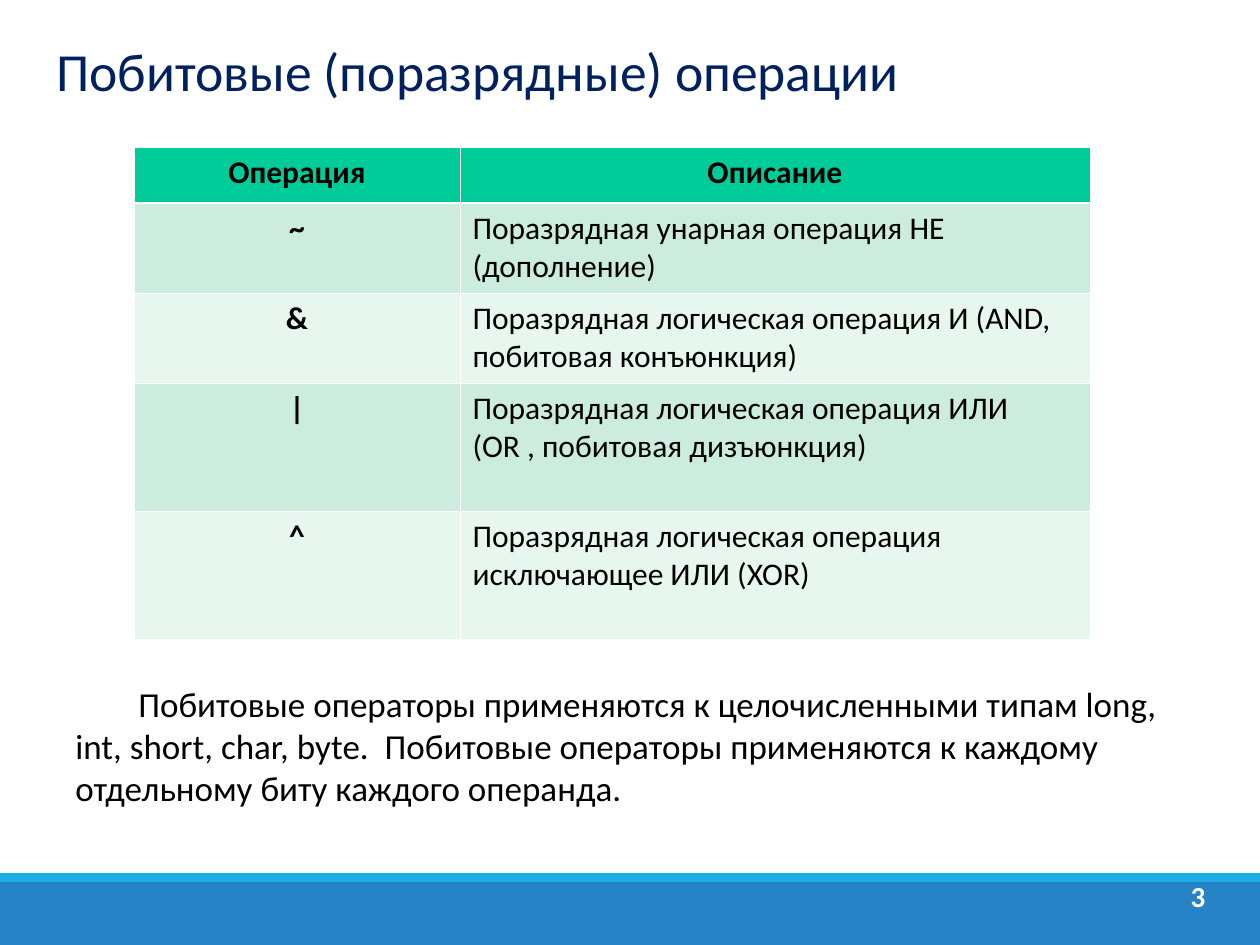
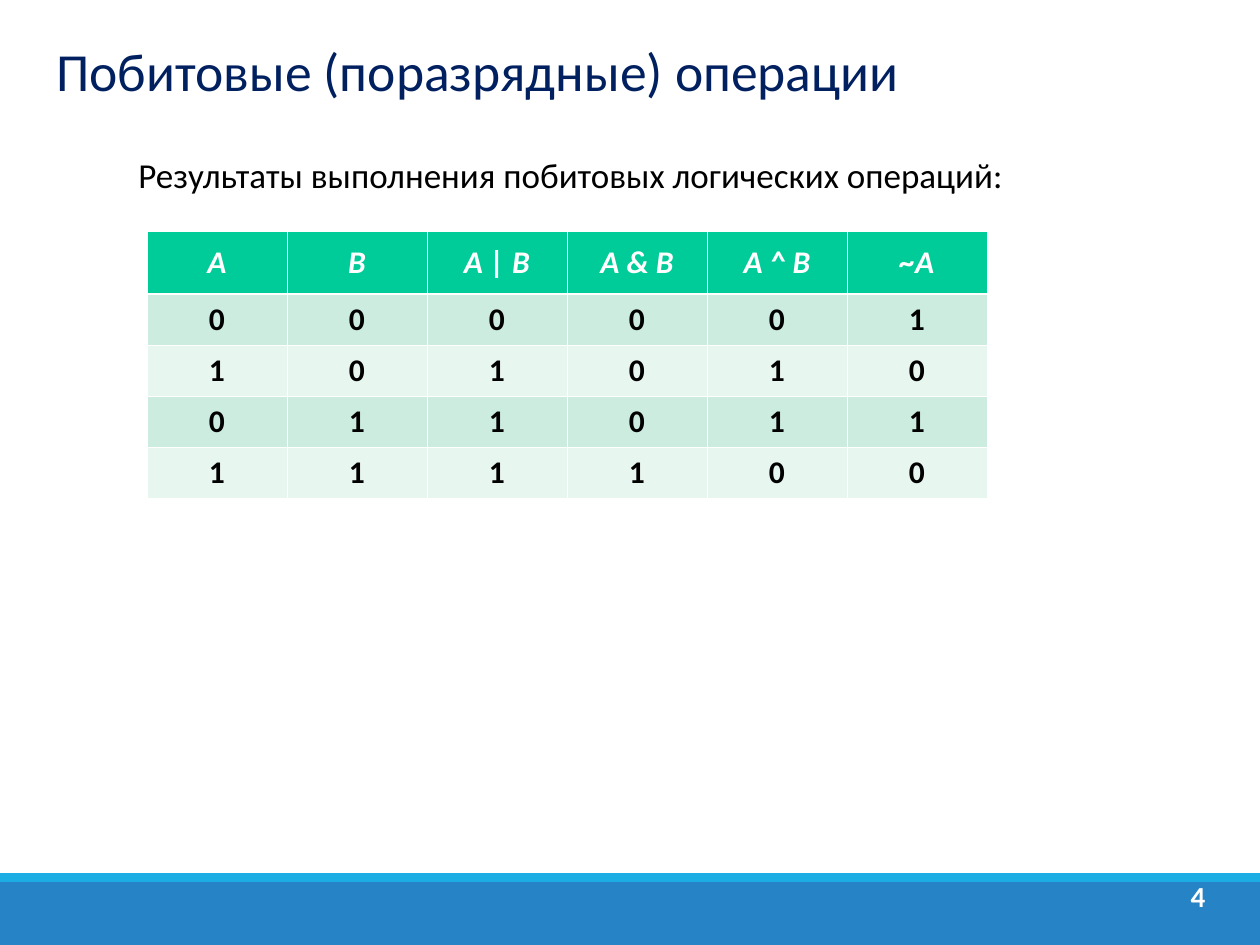
"""Build two slides on bitwise operations with a shared title, footer and table style."""
from dataclasses import dataclass, field

from lxml.etree import SubElement
from pptx import Presentation
from pptx.dml.color import RGBColor
from pptx.enum.shapes import MSO_SHAPE as Preset
from pptx.enum.text import MSO_ANCHOR as Anchor, PP_ALIGN as Align
from pptx.oxml.ns import qn
from pptx.slide import Slide
from pptx.table import _Cell as Cell
from pptx.text.text import TextFrame
from pptx.util import Emu, Pt

EMU_PER_PX = 914400 / 126
SLIDE_SIZE = (1260, 945)
HEADING = "Побитовые (поразрядные) операции"
FONT = "Calibri"
WHITE, BLACK, NAVY = "FFFFFF", "000000", "002060"
HEADER_GREEN = "00CC99"
ROW_GREENS = ("CBECDE", "E7F6EF")
THIN, THICK = 0.45, 1.47


@dataclass(frozen=True)
class Box:
    left: int
    top: int
    width: int
    height: int

    def emu(self) -> list[Emu]:
        return [px(n) for n in (self.left, self.top, self.width, self.height)]


@dataclass(frozen=True)
class Style:
    size: float
    color: str = BLACK
    bold: bool = False
    italic: bool = False
    align: Align = Align.LEFT
    spacing: float = 1.0
    indent: int = 0


@dataclass(frozen=True)
class Band:
    box: Box
    color: str


@dataclass(frozen=True)
class Grid:
    left: int
    top: int
    columns: list[int]
    heights: list[int]
    rows: list[list[str]]
    header: Style
    styles: list[Style]
    anchor: Anchor = Anchor.TOP


@dataclass(frozen=True)
class Page:
    number: int
    body: str
    body_box: Box
    grid: Grid


BANDS = [
    Band(Box(0, 882, 1260, 63), "2683C6"),
    Band(Box(0, 873, 1260, 9), "1CADE4"),
]
HEADING_BOX = Box(44, 35, 1134, 79)
NUMBER_BOX = Box(1168, 876, 60, 50)
HEADING_STYLE = Style(30.6, NAVY, spacing=0.9)
NUMBER_STYLE = Style(16.6, WHITE, bold=True, align=Align.CENTER, spacing=0.9)
BODY_STYLE = Style(20, indent=63)
CELL_STYLE = Style(18)
CENTERED_CELL = Style(18, bold=True, align=Align.CENTER)
VARIABLE_HEADER = Style(18, WHITE, bold=True, italic=True, align=Align.CENTER)

OPERATIONS = Grid(
    134, 147, [326, 630], [56, 90, 90, 128, 128],
    [
        ["Операция", "Описание"],
        ["~", "Поразрядная унарная операция НЕ (дополнение)"],
        ["&", "Поразрядная логическая операция И (AND, побитовая конъюнкция)"],
        ["|", "Поразрядная логическая операция ИЛИ (OR , побитовая дизъюнкция)"],
        ["^", "Поразрядная логическая операция исключающее ИЛИ (XOR)"],
    ],
    CENTERED_CELL, [CENTERED_CELL, CELL_STYLE],
)
TRUTH_TABLE = Grid(
    147, 231, [140] * 6, [63] + [51] * 4,
    [["A", "B", "A | B", "A & B", "A ^ B", "~A"]]
    + [list(bits) for bits in ("000001", "101010", "011011", "111100")],
    VARIABLE_HEADER, [CENTERED_CELL] * 6, Anchor.MIDDLE,
)
PAGES = [
    Page(
        3,
        "Побитовые операторы применяются к целочисленными типам long, int, short, "
        "char, byte.  Побитовые операторы применяются к каждому отдельному биту "
        "каждого операнда.",
        Box(63, 676, 1134, 174), OPERATIONS,
    ),
    Page(
        4, "Результаты выполнения побитовых логических операций:",
        Box(63, 147, 1134, 703), TRUTH_TABLE,
    ),
]


def px(length: int) -> Emu:
    return Emu(round(length * EMU_PER_PX))


def rgb(color: str) -> RGBColor:
    return RGBColor.from_string(color)


def write(frame: TextFrame, text: str, style: Style) -> None:
    paragraph = frame.paragraphs[0]
    paragraph.alignment = style.align
    paragraph.line_spacing = style.spacing
    if style.indent:
        paragraph._p.get_or_add_pPr().set("indent", str(px(style.indent)))
    run = paragraph.add_run()
    run.text = text
    formats = {"name": FONT, "size": Pt(style.size), "bold": style.bold, "italic": style.italic}
    for attribute, value in formats.items():
        setattr(run.font, attribute, value)
    run.font.color.rgb = rgb(style.color)


def draw_text(slide: Slide, box: Box, text: str, style: Style, anchor: Anchor = Anchor.TOP) -> None:
    frame = slide.shapes.add_textbox(*box.emu()).text_frame
    frame.word_wrap = True
    frame.vertical_anchor = anchor
    write(frame, text, style)


def draw_band(slide: Slide, band: Band) -> None:
    strip = slide.shapes.add_shape(Preset.RECTANGLE, *band.box.emu())
    strip.shadow.inherit = False
    strip.fill.solid()
    strip.fill.fore_color.rgb = rgb(band.color)
    strip.line.fill.background()


def draw_borders(cell: Cell, row: int) -> None:
    widths = {
        "a:lnL": THIN,
        "a:lnR": THIN,
        "a:lnT": THICK if row == 1 else THIN,
        "a:lnB": THICK if row == 0 else THIN,
    }
    properties = cell._tc.get_or_add_tcPr()
    for side, width in widths.items():
        border = SubElement(properties, qn(side), w=str(Pt(width)))
        paint = SubElement(border, qn("a:solidFill"))
        SubElement(paint, qn("a:srgbClr"), val=WHITE)


def draw_grid(slide: Slide, grid: Grid) -> None:
    box = Box(grid.left, grid.top, sum(grid.columns), sum(grid.heights))
    table = slide.shapes.add_table(len(grid.rows), len(grid.columns), *box.emu()).table
    for column, width in zip(table.columns, grid.columns):
        column.width = px(width)
    for r, (texts, height) in enumerate(zip(grid.rows, grid.heights)):
        table.rows[r].height = px(height)
        for c, text in enumerate(texts):
            cell = table.cell(r, c)
            cell.vertical_anchor = grid.anchor
            draw_borders(cell, r)
            cell.fill.solid()
            cell.fill.fore_color.rgb = rgb(ROW_GREENS[(r - 1) % 2] if r else HEADER_GREEN)
            write(cell.text_frame, text, grid.styles[c] if r else grid.header)


def draw_page(slide: Slide, page: Page) -> None:
    for band in BANDS:
        draw_band(slide, band)
    draw_text(slide, HEADING_BOX, HEADING, HEADING_STYLE, Anchor.MIDDLE)
    draw_text(slide, NUMBER_BOX, str(page.number), NUMBER_STYLE)
    draw_text(slide, page.body_box, page.body, BODY_STYLE)
    draw_grid(slide, page.grid)


def main() -> None:
    deck = Presentation()
    deck.slide_width, deck.slide_height = map(px, SLIDE_SIZE)
    blank = deck.slide_layouts[6]
    for page in PAGES:
        draw_page(deck.slides.add_slide(blank), page)
    deck.save("out.pptx")


if __name__ == "__main__":
    main()
